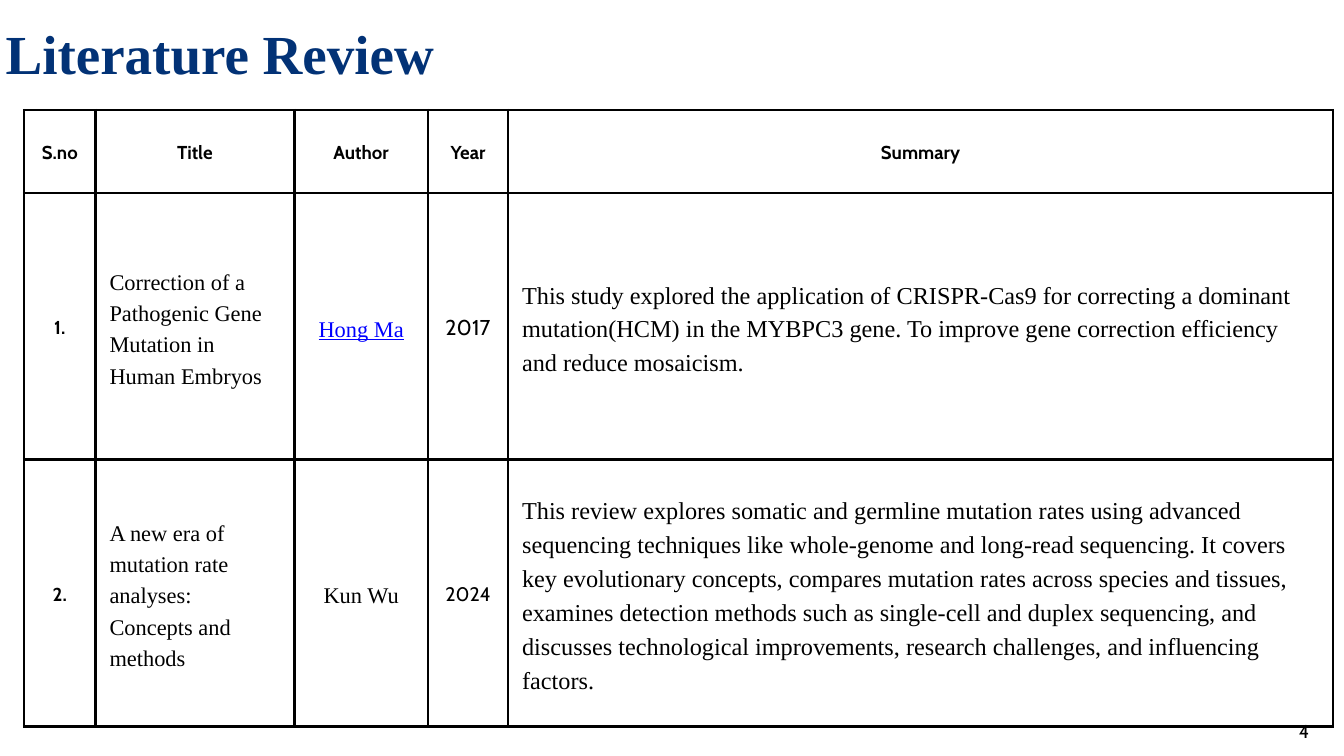
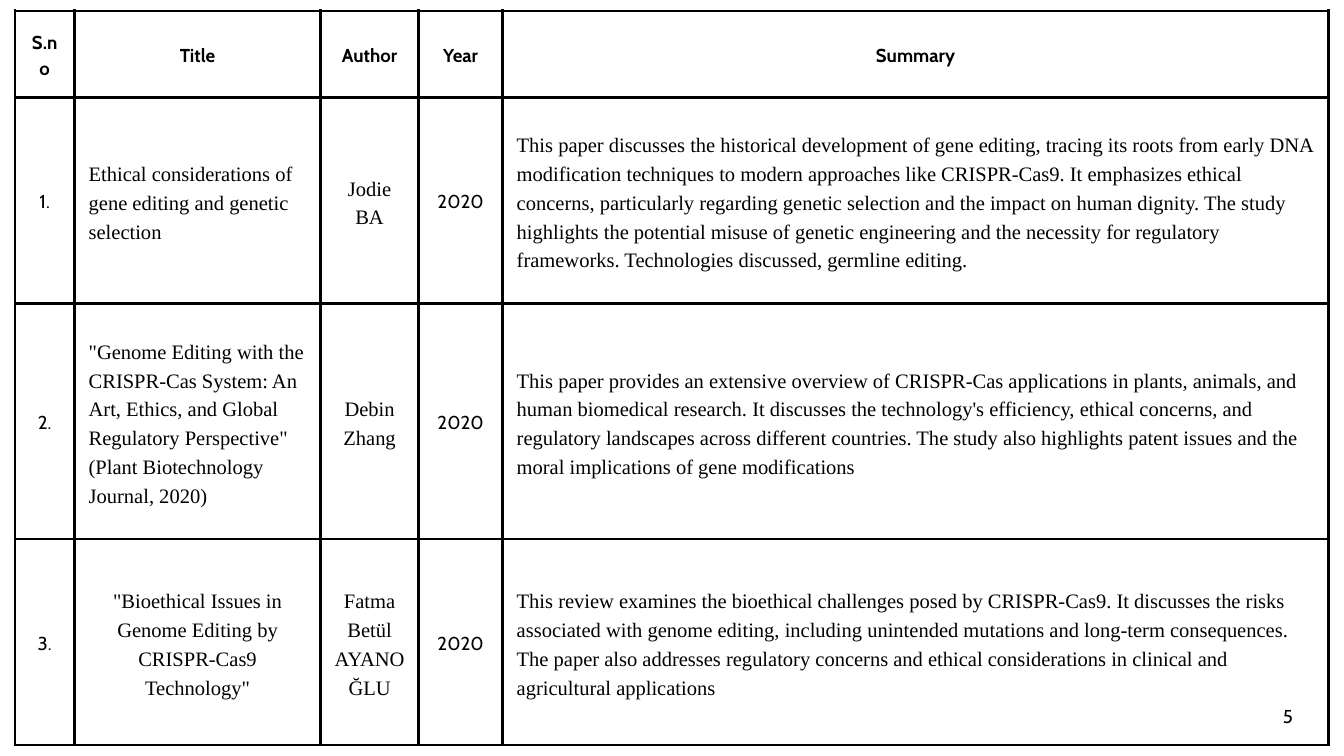
from lxml import etree
from pptx import Presentation
from pptx import util as u
from pptx.dml.color import RGBColor
from pptx.enum import text
from pptx.oxml import ns

COLORS = {"ink": "000000", "title": "023276", "link": "0000FF"}
SANS, SERIF = "Cabin", "Times New Roman"
LEFT, CENTER = text.PP_ALIGN.LEFT, text.PP_ALIGN.CENTER
HEADINGS = ["S.no", "Title", "Author", "Year", "Summary"]
HEADING_STYLE = dict(font=SANS, size=20, bold=True, align=CENTER)


class Deck:
    """Holds the shared style and the current slide."""

    def __init__(self):
        self.prs = Presentation()
        self.prs.slide_width, self.prs.slide_height = u.Inches(20), u.Inches(11.25)
        self.s = None

    def add_slide(self, layout):
        self.s = self.prs.slides.add_slide(self.prs.slide_layouts.get_by_name(layout))

    def set_text(self, tf, content, font=SERIF, size=20, bold=False, align=LEFT,
                 color="ink", underline=False):
        tf.text = content
        p = tf.paragraphs[0]
        p.alignment = align
        p.line_spacing = u.Pt(round(size * 1.4, 1))
        p.space_before = u.Pt(0)
        f = p.runs[0].font
        f.name, f.size, f.bold, f.underline = font, u.Pt(size), bold, underline
        f.color.rgb = RGBColor.from_string(COLORS[color])

    def frame(self, tf, wrap):
        tf.margin_left = tf.margin_right = tf.margin_top = tf.margin_bottom = 0
        tf.word_wrap = wrap
        tf.vertical_anchor = text.MSO_ANCHOR.TOP

    def title(self, content, left, top, width, height):
        sp = self.s.shapes.title
        sp.left, sp.top = u.Inches(left), u.Inches(top)
        sp.width, sp.height = u.Inches(width), u.Inches(height)
        self.frame(sp.text_frame, True)
        sp.text_frame.auto_size = text.MSO_AUTO_SIZE.NONE
        self.set_text(sp.text_frame, content, size=59, bold=True, align=CENTER, color="title")

    def page_number(self, number, left, top):
        sp = self.s.shapes.add_textbox(u.Inches(left), u.Inches(top),
                                       u.Inches(0.17), u.Inches(0.22))
        self.frame(sp.text_frame, False)
        sp.text_frame.auto_size = text.MSO_AUTO_SIZE.SHAPE_TO_FIT_TEXT
        self.set_text(sp.text_frame, str(number), font=SANS, align=CENTER)

    def border(self, cell):
        tc_pr = cell._tc.get_or_add_tcPr()
        for i, side in enumerate("LRTB"):
            ln = etree.Element(ns.qn(f"a:ln{side}"), w=str(u.Pt(3)))
            fill = etree.SubElement(ln, ns.qn("a:solidFill"))
            etree.SubElement(fill, ns.qn("a:srgbClr"), val=COLORS["ink"])
            tc_pr.insert(i, ln)

    def table(self, left, top, widths, heights, rows, styles, exceptions):
        tb = self.s.shapes.add_table(
            len(heights), len(widths), u.Inches(left), u.Inches(top),
            u.Inches(sum(widths)), u.Inches(sum(heights))).table
        tb.first_row = tb.horz_banding = False
        for column, width in zip(tb.columns, widths):
            column.width = u.Inches(width)
        for row, height in zip(tb.rows, heights):
            row.height = u.Inches(height)
        for i, values in enumerate([HEADINGS] + rows):
            for j, value in enumerate(values):
                cell = tb.cell(i, j)
                cell.margin_left = cell.margin_right = u.Inches(0.21)
                cell.margin_top = cell.margin_bottom = u.Inches(0.21)
                cell.vertical_anchor = text.MSO_ANCHOR.MIDDLE
                cell.fill.background()
                self.border(cell)
                style = styles[j] if i else HEADING_STYLE
                self.set_text(cell.text_frame, value, **{**style, **exceptions.get((i, j), {})})


def column_styles(number_bold, body, year, summary):
    return [
        dict(font=SANS, size=20, bold=number_bold, align=CENTER),
        dict(size=body),
        dict(size=body, align=CENTER),
        dict(font=SANS, size=year, align=CENTER),
        dict(size=summary),
    ]


MUTATION_STUDIES = [
    ["1.", "Correction of a Pathogenic Gene Mutation in Human Embryos", "Hong Ma", "2017",
     "This study explored the application of CRISPR-Cas9 for correcting a dominant "
     "mutation(HCM) in the MYBPC3 gene. To improve gene correction efficiency and reduce "
     "mosaicism."],
    ["2.", "A new era of mutation rate analyses: Concepts and methods", "Kun Wu", "2024",
     "This review explores somatic and germline mutation rates using advanced sequencing "
     "techniques like whole-genome and long-read sequencing. It covers key evolutionary "
     "concepts, compares mutation rates across species and tissues, examines detection "
     "methods such as single-cell and duplex sequencing, and discusses technological "
     "improvements, research challenges, and influencing factors."],
]

ETHICS_STUDIES = [
    ["1.", "Ethical considerations of gene editing and genetic selection", "Jodie BA", "2020",
     "This paper discusses the historical development of gene editing, tracing its roots "
     "from early DNA modification techniques to modern approaches like CRISPR-Cas9. It "
     "emphasizes ethical concerns, particularly regarding genetic selection and the impact "
     "on human dignity. The study highlights the potential misuse of genetic engineering "
     "and the necessity for regulatory frameworks. Technologies discussed, germline editing."],
    ["2.", "\"Genome Editing with the CRISPR‐Cas System: An Art, Ethics, and Global "
     "Regulatory Perspective\" (Plant Biotechnology Journal, 2020)", "Debin Zhang", "2020",
     "This paper provides an extensive overview of CRISPR-Cas applications in plants, "
     "animals, and human biomedical research. It discusses the technology's efficiency, "
     "ethical concerns, and regulatory landscapes across different countries. The study "
     "also highlights patent issues and the moral implications of gene modifications"],
    ["3.", "\"Bioethical Issues in Genome Editing by CRISPR-Cas9 Technology\"",
     "Fatma Betül AYANOĞLU", "2020",
     "This review examines the bioethical challenges posed by CRISPR-Cas9. It discusses "
     "the risks associated with genome editing, including unintended mutations and "
     "long-term consequences. The paper also addresses regulatory concerns and ethical "
     "considerations in clinical and agricultural applications"],
]


def main():
    deck = Deck()

    deck.add_slide("Title Only")
    deck.table(0.36, 1.64, [1.06, 2.96, 1.99, 1.19, 12.28], [1.23, 3.97, 3.97],
               MUTATION_STUDIES, column_styles(True, 24, 23, 26),
               {(1, 2): dict(color="link", underline=True), (2, 3): dict(size=21)})
    deck.page_number(4, 19.32, 10.66)
    deck.title("Literature Review", -1.33, 0.12, 9.21, 1.24)

    deck.add_slide("Blank")
    deck.table(0.22, 0.16, [0.89, 3.66, 1.46, 1.25, 12.29], [1.29, 3.07, 3.5, 3.07],
               ETHICS_STUDIES, column_styles(False, 22, 20, 22),
               {(3, 1): dict(align=CENTER)})
    deck.page_number(5, 19.08, 10.43)

    deck.prs.save("out.pptx")


if __name__ == "__main__":
    main()
